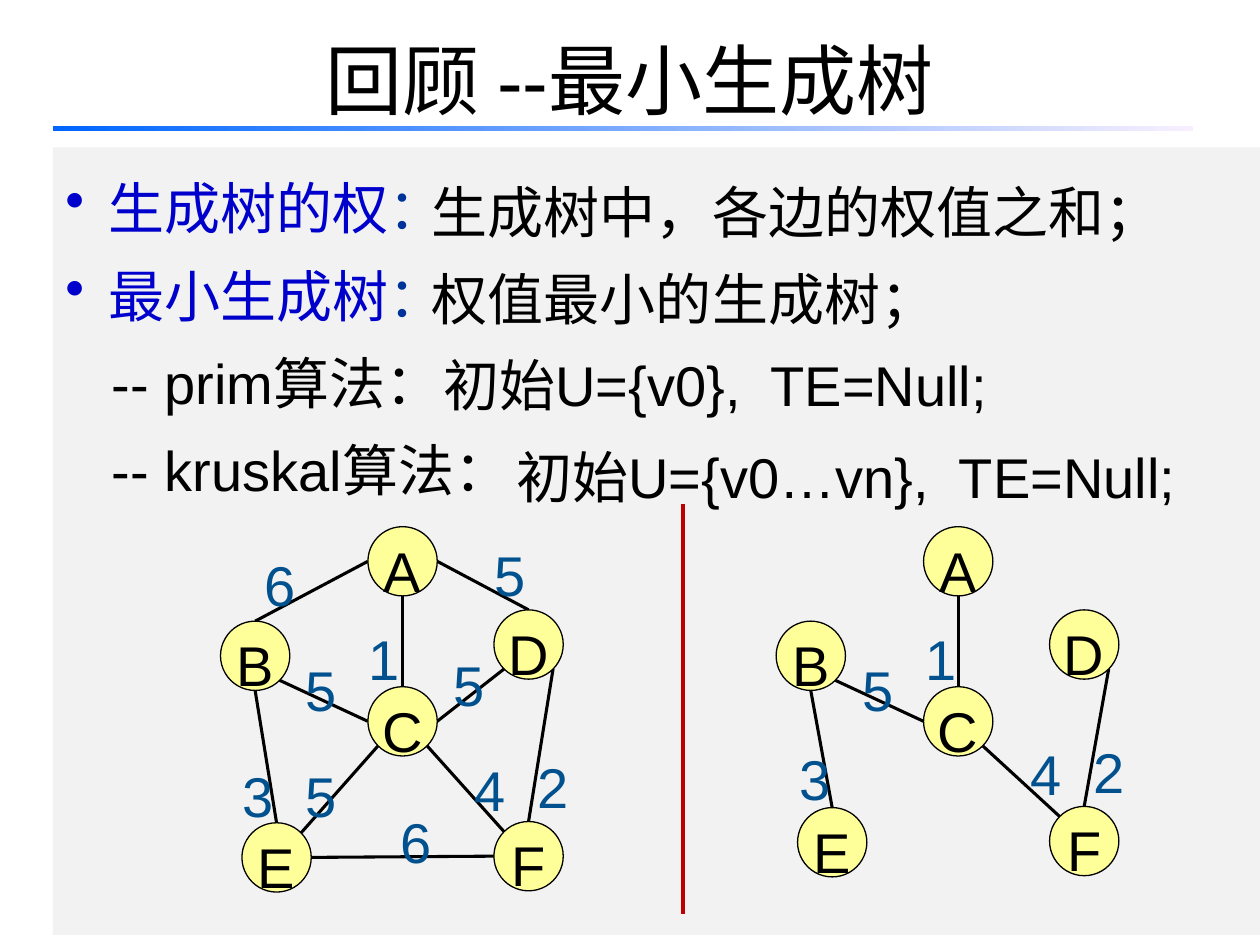
from math import cos, radians, sin

from lxml import etree
from pptx import Presentation
from pptx.dml.color import RGBColor
from pptx.enum.shapes import MSO_CONNECTOR, MSO_SHAPE
from pptx.enum.text import MSO_ANCHOR, PP_ALIGN
from pptx.oxml.ns import qn
from pptx.util import Inches, Pt

LINE = MSO_CONNECTOR.STRAIGHT
RECT, OVAL = MSO_SHAPE.RECTANGLE, MSO_SHAPE.OVAL
LEFT, CENTER = PP_ALIGN.LEFT, PP_ALIGN.CENTER
TOP, MIDDLE = MSO_ANCHOR.TOP, MSO_ANCHOR.MIDDLE

BLACK = RGBColor(0x00, 0x00, 0x00)
TERM_BLUE = RGBColor(0x00, 0x00, 0xCC)
COLON_BLUE = RGBColor(0x00, 0x33, 0x99)
WEIGHT_BLUE = RGBColor(0x00, 0x51, 0x8E)
RULE_START = RGBColor(0x00, 0x66, 0xFF)
RULE_END = RGBColor(0xF7, 0xEF, 0xFF)
PANEL_GREY = RGBColor(0xF2, 0xF2, 0xF2)
DIVIDER_RED = RGBColor(0xC0, 0x00, 0x00)
NODE_YELLOW = RGBColor(0xFF, 0xFF, 0x99)

FONT = "Arial"
NODE_SIZE = 0.55
TREE_SHIFT = 4.41  # distance from the full graph to its spanning tree

# Directions from a node's centre, in degrees clockwise from the right
E, SE, S, SW, W, NW, N, NE = range(0, 360, 45)

# Top left corners of the nodes
GRAPH_NODES = {"A": (2.92, 4.18), "B": (1.75, 4.93), "C": (2.92, 5.45),
               "D": (3.92, 4.84), "E": (1.92, 6.53), "F": (3.92, 6.52)}
TREE_NODES = {name: (x + TREE_SHIFT, y - (0.12 if name in "EF" else 0))
              for name, (x, y) in GRAPH_NODES.items()}

# Edges: start node and side, end node and side
TREE_EDGES = [("A", S, "C", N), ("B", SE, "C", W), ("B", S, "E", N),
              ("D", SE, "F", N), ("F", NW, "C", SE)]
GRAPH_EDGES = TREE_EDGES + [("A", W, "B", N), ("A", E, "D", N),
                            ("D", SW, "C", E), ("E", NE, "C", SW),
                            ("F", W, "E", E)]

# Weights: value, left, top
GRAPH_WEIGHTS = [("6", 2, 4.19), ("5", 3.83, 4.11), ("1", 2.83, 4.77),
                 ("5", 2.33, 5.02), ("5", 3.5, 4.98), ("3", 1.83, 5.86),
                 ("5", 2.33, 5.86), ("4", 3.67, 5.81), ("2", 4.17, 5.79),
                 ("6", 3.08, 6.23)]
TREE_WEIGHTS = [("1", 7.25, 4.77), ("5", 6.75, 5.02), ("3", 6.25, 5.73),
                ("4", 8.08, 5.69), ("2", 8.58, 5.67)]

# Panel lines: runs with their colours, bullet or not
PANEL_LINES = [([("生成树的权", TERM_BLUE), ("：", COLON_BLUE)], True),
               ([("最小生成树", TERM_BLUE), ("：", COLON_BLUE)], True),
               ([("-- prim算法：", BLACK)], False),
               ([("-- kruskal算法：", BLACK)], False)]

# Explanations: text, left, top, width
EXPLANATIONS = [("生成树中，各边的权值之和；", 3.33, 1.23, 6.67),
                ("权值最小的生成树；", 3.33, 1.92, 4.67),
                ("初始U={v0},  TE=Null;", 3.42, 2.6, 5),
                ("初始U={v0…vn},  TE=Null;", 4, 3.33, 6.08)]


def set_font(font, color, size=32):
    font.name = FONT
    font.size = Pt(size)
    font.color.rgb = color


def add_block(slide, kind, left, top, width, height):
    block = slide.shapes.add_shape(kind, Inches(left), Inches(top),
                                   Inches(width), Inches(height))
    block.shadow.inherit = False
    block.line.fill.background()
    return block


def add_line(slide, start, end, color, width):
    line = slide.shapes.add_connector(
        LINE, *(Inches(value) for value in (*start, *end)))
    line.line.color.rgb = color
    line.line.width = Pt(width)
    etree.SubElement(line._element.spPr, qn("a:effectLst"))


def write_line(frame, text, color, before, align=LEFT):
    paragraph = frame.paragraphs[0]
    paragraph.text = text
    paragraph.alignment = align
    paragraph.line_spacing = 1.25
    paragraph.space_before = Pt(before)
    set_font(paragraph.font, color)


def add_label(slide, text, left, top, width, height, color, before):
    label = slide.shapes.add_textbox(Inches(left), Inches(top),
                                     Inches(width), Inches(height))
    label.text_frame.word_wrap = True
    write_line(label.text_frame, text, color, before)


def add_node(slide, name, left, top):
    node = add_block(slide, OVAL, left, top, NODE_SIZE, NODE_SIZE)
    node.fill.solid()
    node.fill.fore_color.rgb = NODE_YELLOW
    node.line.color.rgb = BLACK
    node.line.width = Pt(0.75)
    node.text_frame.word_wrap = False
    node.text_frame.vertical_anchor = MIDDLE
    write_line(node.text_frame, name, BLACK, 9.6, CENTER)


def rim_point(corner, angle):
    radius = NODE_SIZE / 2
    return (corner[0] + radius * (1 + cos(radians(angle))),
            corner[1] + radius * (1 + sin(radians(angle))))


def add_graph(slide, nodes, edges, weights):
    for start, start_side, end, end_side in edges:
        add_line(slide, rim_point(nodes[start], start_side),
                 rim_point(nodes[end], end_side), BLACK, 1.75)
    for name, corner in nodes.items():
        add_node(slide, name, *corner)
    for value, left, top in weights:
        add_label(slide, value, left, top, 0.75, 0.71, WEIGHT_BLUE, 16)


def add_title(slide):
    title = slide.shapes.title
    title.left, title.top = Inches(0.5), Inches(0)
    title.width, title.height = Inches(9), Inches(1.25)
    title.text_frame.vertical_anchor = MIDDLE
    paragraph = title.text_frame.paragraphs[0]
    paragraph.text = "回顾 --最小生成树"
    paragraph.alignment = CENTER
    set_font(paragraph.font, BLACK, 44)


def add_title_rule(slide):
    rule = add_block(slide, RECT, 0.42, 1, 9.05, 0.04)
    rule.fill.gradient()
    rule.fill.gradient_angle = 0
    for stop, color in zip(rule.fill.gradient_stops, (RULE_START, RULE_END)):
        stop.color.rgb = color


def add_panel(slide):
    panel = add_block(slide, RECT, 0.42, 1.17, 9.58, 6.25)
    panel.fill.solid()
    panel.fill.fore_color.rgb = PANEL_GREY
    frame = panel.text_frame
    frame.vertical_anchor = TOP
    for index, (runs, bulleted) in enumerate(PANEL_LINES):
        paragraph = frame.add_paragraph() if index else frame.paragraphs[0]
        paragraph.alignment = LEFT
        paragraph.line_spacing = 1.3
        properties = paragraph._p.get_or_add_pPr()
        properties.set("marL", str(Inches(0.34 if bulleted else 0.37)))
        if bulleted:
            properties.set("indent", str(Inches(-0.34)))
            etree.SubElement(properties, qn("a:buChar"), char="•")
        for text, color in runs:
            run = paragraph.add_run()
            run.text = text
            set_font(run.font, color)


def main():
    presentation = Presentation()
    presentation.slide_width = Inches(10)
    presentation.slide_height = Inches(7.5)
    slide = presentation.slides.add_slide(presentation.slide_layouts[5])

    # Heading and grey panel
    add_title(slide)
    add_title_rule(slide)
    add_panel(slide)

    # Full graph on the left, minimum spanning tree on the right
    add_line(slide, (5.42, 4), (5.42, 7.25), DIVIDER_RED, 2.5)
    add_graph(slide, GRAPH_NODES, GRAPH_EDGES, GRAPH_WEIGHTS)
    add_graph(slide, TREE_NODES, TREE_EDGES, TREE_WEIGHTS)

    # Explanations beside the panel lines
    for text, left, top, width in EXPLANATIONS:
        add_label(slide, text, left, top, width, 0.77, BLACK, 9.6)

    presentation.save("out.pptx")


if __name__ == "__main__":
    main()
